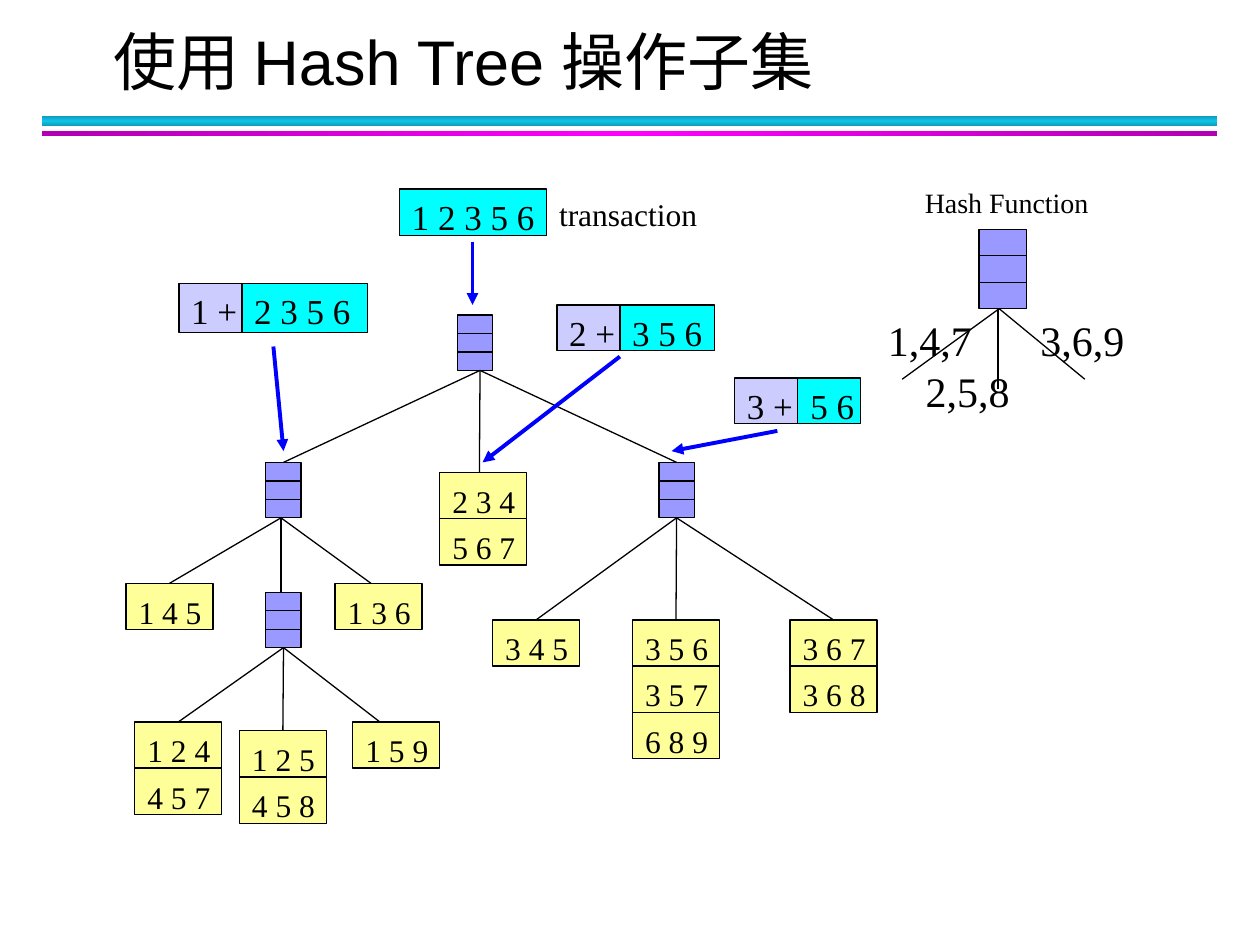
from dataclasses import dataclass
from typing import NamedTuple, Optional

from lxml.etree import SubElement
from pptx import Presentation
from pptx.dml.color import RGBColor
from pptx.enum.shapes import MSO_CONNECTOR, MSO_SHAPE
from pptx.enum.text import MSO_ANCHOR, MSO_AUTO_SIZE, PP_ALIGN
from pptx.oxml.ns import qn
from pptx.util import Inches, Pt


@dataclass(frozen=True)
class Theme:
    ink: str = "000000"
    node: str = "9999FF"
    leaf: str = "FFFF99"
    items: str = "00FFFF"
    prefix: str = "CCCCFF"
    arrow: str = "0000FF"
    teal: tuple = ("0E9BBA", "12C2E9", "0E9BBA")
    magenta: tuple = ("B200B2", "FF00FF", "B200B2")
    title_font: str = "Arial"
    body_font: str = "Times New Roman"
    title: int = 36
    hash_key: int = 24
    subset: int = 20
    body: int = 18
    caption: int = 16
    thin: float = 0.75
    thick: float = 2.25


class Box(NamedTuple):
    """Left, top, width and height in grid columns and rows."""
    x: float
    y: float
    w: float
    h: float


class Leaf(NamedTuple):
    name: str
    x: float
    y: float
    itemsets: tuple


class Split(NamedTuple):
    """A fixed prefix followed by the items still to be matched."""
    x: float
    y: float
    h: float
    prefix: str
    rest: str
    rest_w: float
    text_w: float


class Edge(NamedTuple):
    """Tree edge; an end with a shift lies beside the middle of the side."""
    parent: str
    child: str
    start_shift: float = 0
    end_shift: float = 0


T = Theme()
COLS, ROWS = 100, 75
LEAF_W, LEAF_H = 6.9, 3.67
LABEL_H = {T.hash_key: 5, T.subset: 4.4, T.body: 4, T.caption: 3.7}

NODES = {
    "root": Box(36.3, 25, 2.8, 4.4),
    "left": Box(21.1, 36.7, 2.8, 4.4),
    "right": Box(52.3, 36.7, 2.8, 4.4),
    "lower": Box(21.1, 47, 2.8, 4.4),
    "hash": Box(77.7, 18.2, 3.8, 6.3),
}
LEAVES = [
    Leaf("root 2", 34.9, 37.5, ("2 3 4", "5 6 7")),
    Leaf("left 1", 10, 46.3, ("1 4 5",)),
    Leaf("left 3", 26.6, 46.3, ("1 3 6",)),
    Leaf("right 1", 39.1, 49.2, ("3 4 5",)),
    Leaf("right 2", 50.2, 49.2, ("3 5 6", "3 5 7", "6 8 9")),
    Leaf("right 3", 62.7, 49.2, ("3 6 7", "3 6 8")),
    Leaf("lower 1", 10.7, 57.3, ("1 2 4", "4 5 7")),
    Leaf("lower 2", 19, 58, ("1 2 5", "4 5 8")),
    Leaf("lower 3", 28, 57.3, ("1 5 9",)),
]
EDGES = [
    Edge("root", "left", 0.4), Edge("root", "root 2", 0.4, -0.3), Edge("root", "right", 0.4),
    Edge("left", "left 1", -0.2), Edge("left", "lower", -0.2, -0.2),
    Edge("left", "left 3", -0.2, -0.6),
    Edge("right", "right 1"), Edge("right", "right 2"), Edge("right", "right 3"),
    Edge("lower", "lower 1"), Edge("lower", "lower 2"), Edge("lower", "lower 3", 0, -1.3),
]
SPLITS = [
    Split(14.2, 22.5, 3.9, "1 +", "2 3 5 6", 10, 9.6),
    Split(44.2, 24.2, 3.6, "2 +", "3 5 6", 7.5, 7.5),
    Split(58.3, 30, 3.6, "3 +", "5 6", 5, 5.5),
]
ARROWS = [((37.5, 19.2), (37.5, 24.2)), ((21.7, 27.5), (22.5, 35.8)),
          ((49.2, 28.3), (38.3, 36.7)), ((61.7, 34.2), (53.3, 35.8))]
HASH_RAYS = [((79.3, 24.5), (71.6, 30.1)), ((79.2, 24.5), (79.2, 30.9)),
             ((79.3, 24.5), (86.1, 30.1))]
HASH_KEYS = {"1,4,7": (69.5, 24.5), "2,5,8": (72.5, 28.5), "3,6,9": (81.6, 24.5)}

prs = Presentation()
prs.slide_width, prs.slide_height = Inches(10), Inches(7.5)
s = prs.slides.add_slide(prs.slide_layouts[5])


def col(n: float) -> int:
    return round(prs.slide_width * n / COLS)


def row(n: float) -> int:
    return round(prs.slide_height * n / ROWS)


def emu(box: Box) -> tuple:
    return col(box.x), row(box.y), col(box.w), row(box.h)


def rect(box: Box, fill: Optional[str] = None):
    sp = s.shapes.add_shape(MSO_SHAPE.RECTANGLE, *emu(box))
    sp.shadow.inherit = False
    if fill:
        sp.fill.solid()
        sp.fill.fore_color.rgb = RGBColor.from_string(fill)
        sp.line.color.rgb = RGBColor.from_string(T.ink)
        sp.line.width = Pt(T.thin)
    return sp


def bar(box: Box, colours: tuple, angle: int) -> None:
    sp = rect(box)
    sp.line.fill.background()
    sp.fill.gradient()
    sp.fill.gradient_angle = angle
    stops = sp._element.spPr.find(qn("a:gradFill")).find(qn("a:gsLst"))
    for stop in list(stops):
        stops.remove(stop)
    for i, colour in enumerate(colours):
        stop = SubElement(stops, qn("a:gs"), pos=str(i * 50000))
        SubElement(stop, qn("a:srgbClr"), val=colour)


def write(tf, text: str, font: str, size: int, align) -> None:
    tf.text = text
    p = tf.paragraphs[0]
    p.alignment = align
    r = p.runs[0]
    for name, value in {"name": font, "size": Pt(size), "bold": False}.items():
        setattr(r.font, name, value)
    r.font.color.rgb = RGBColor.from_string(T.ink)


def label(text: str, x: float, y: float, w: float, size: int) -> None:
    """Centred one-line text; without side margins it fits its box unbroken."""
    tf = s.shapes.add_textbox(*emu(Box(x, y, w, LABEL_H[size]))).text_frame
    for name, value in {"word_wrap": False, "margin_left": 0, "margin_right": 0,
                        "auto_size": MSO_AUTO_SIZE.NONE}.items():
        setattr(tf, name, value)
    write(tf, text, T.body_font, size, PP_ALIGN.CENTER)


def line(start: tuple, end: tuple, colour: str = T.ink, width: float = T.thin,
         arrow: bool = False):
    c = s.shapes.add_connector(MSO_CONNECTOR.STRAIGHT, col(start[0]), row(start[1]),
                               col(end[0]), row(end[1]))
    c.line.color.rgb = RGBColor.from_string(colour)
    c.line.width = Pt(width)
    if arrow:
        SubElement(c.line._get_or_add_ln(), qn("a:tailEnd"), type="triangle")
    SubElement(c._element.spPr, qn("a:effectLst"))
    return c


def node(box: Box):
    """Hash node of three equal slots."""
    sp = rect(box, T.node)
    for i in (1, 2):
        y = box.y + box.h * i / 3
        line((box.x, y), (box.x + box.w, y))
    return sp


def edge(e: Edge, boxes: dict, shapes: dict) -> None:
    a, b = boxes[e.parent], boxes[e.child]
    c = line((a.x + a.w / 2 + e.start_shift, a.y + a.h),
             (b.x + b.w / 2 + e.end_shift, b.y))
    if not e.start_shift:
        c.begin_connect(shapes[e.parent], 2)
    if not e.end_shift:
        c.end_connect(shapes[e.child], 0)


def split(sp: Split) -> None:
    prefix_w = 5
    rect(Box(sp.x, sp.y, prefix_w, sp.h), T.prefix)
    rect(Box(sp.x + prefix_w, sp.y, sp.rest_w, sp.h), T.items)
    label(sp.prefix, sp.x, sp.y, 5.6, T.subset)
    label(sp.rest, sp.x + prefix_w, sp.y, sp.text_w, T.subset)


bar(Box(3.3, 9.2, 93.3, 0.8), T.teal, 90)
bar(Box(3.3, 10.4, 93.3, 0.4), T.magenta, 0)

title = s.shapes.title
title.left, title.top, title.width, title.height = emu(Box(8, 1.8, 90, 6))
write(title.text_frame, "使用 Hash Tree 操作子集", T.title_font, T.title, PP_ALIGN.LEFT)
title.text_frame.vertical_anchor = MSO_ANCHOR.MIDDLE

boxes = dict(NODES)
shapes = {name: node(box) for name, box in NODES.items()}
for leaf in LEAVES:
    for i, itemset in enumerate(leaf.itemsets):
        box = Box(leaf.x, leaf.y + i * LEAF_H, LEAF_W, LEAF_H)
        sp = rect(box, T.leaf)
        label(itemset, box.x, box.y + 0.25, 7, T.body)
        if i == 0:
            boxes[leaf.name], shapes[leaf.name] = box, sp
for e in EDGES:
    edge(e, boxes, shapes)

rect(Box(31.7, 15, 11.7, 3.7), T.items)
label("1 2 3 5 6", 31.7, 15, 11.7, T.subset)
label("transaction", 43.4, 15, 12.9, T.body)
for start, end in ARROWS:
    line(start, end, T.arrow, T.thick, arrow=True)
for sp in SPLITS:
    split(sp)

label("Hash Function", 72.4, 14.2, 15, T.caption)
for start, end in HASH_RAYS:
    line(start, end)
for key, (x, y) in HASH_KEYS.items():
    label(key, x, y, 8.6, T.hash_key)

prs.save("out.pptx")
